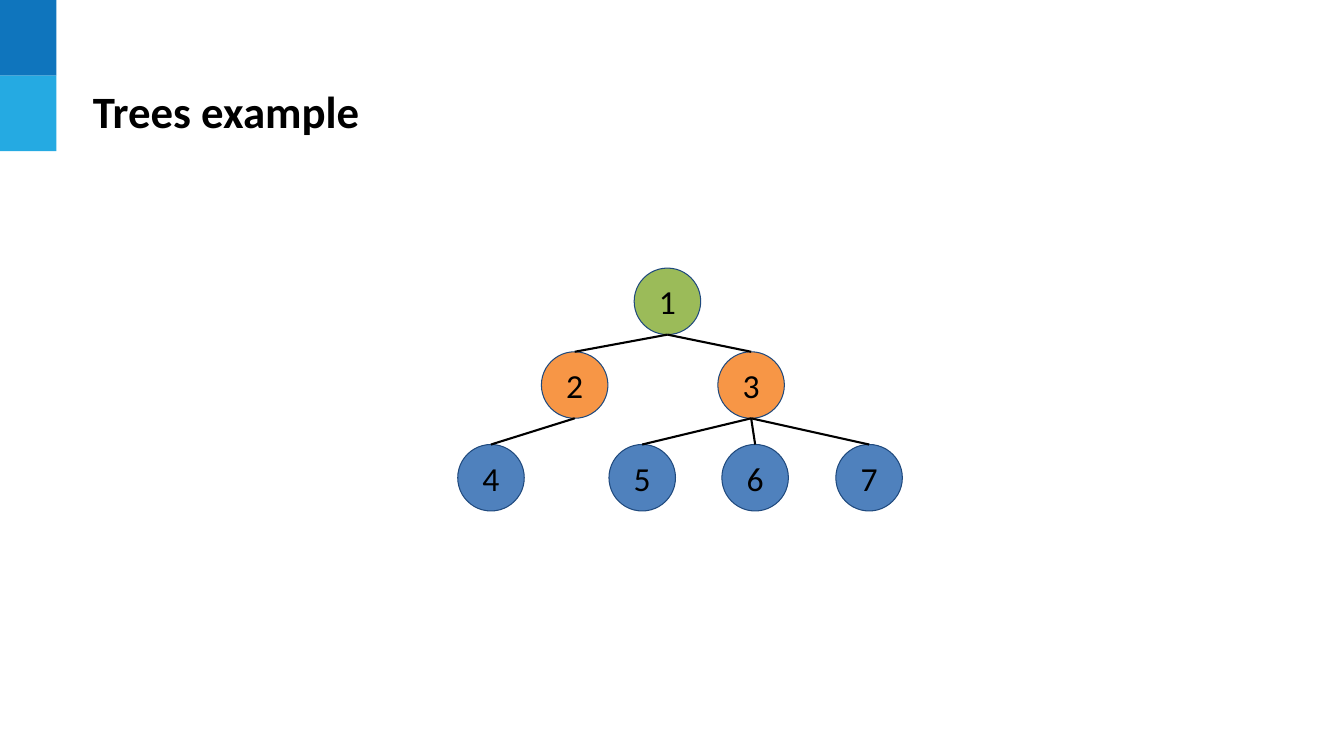
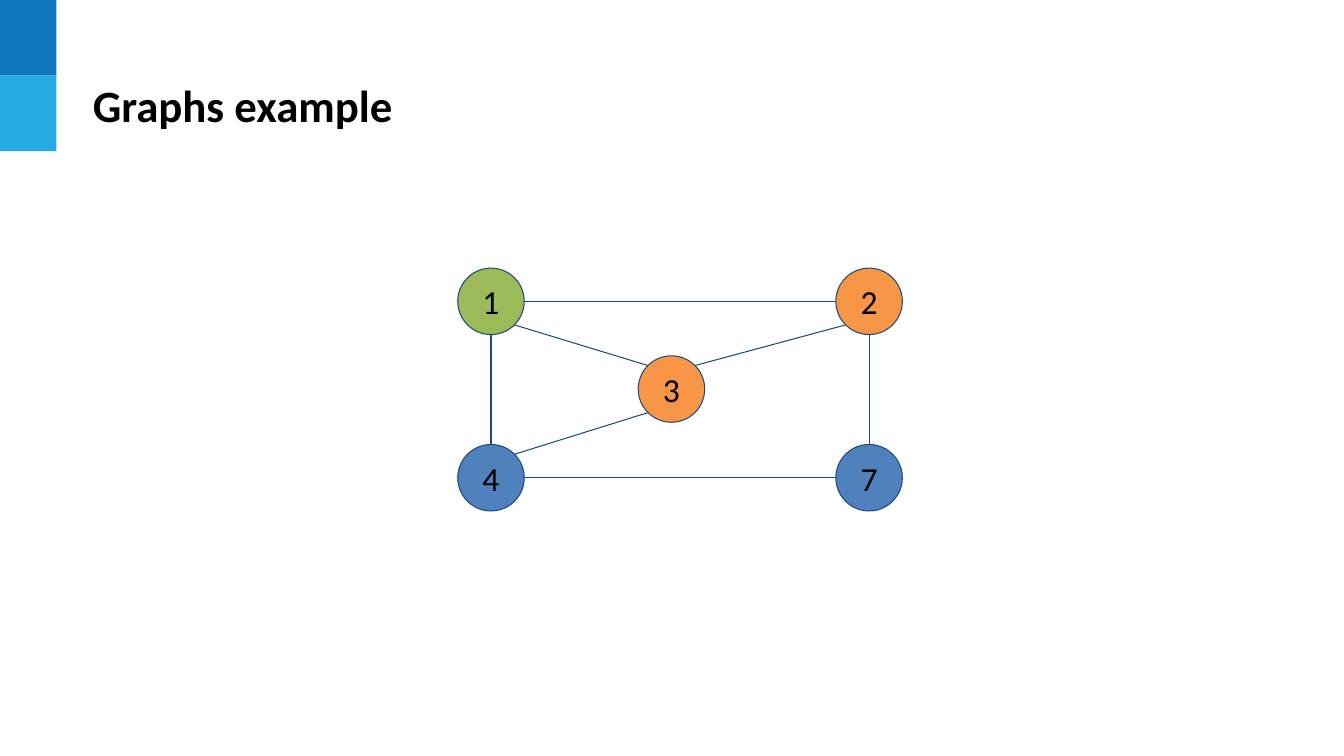
from dataclasses import dataclass
from math import cos, radians, sin

from lxml.etree import SubElement
from pptx import Presentation
from pptx.dml.color import RGBColor
from pptx.enum.shapes import MSO_CONNECTOR, MSO_SHAPE
from pptx.enum.text import MSO_ANCHOR, MSO_AUTO_SIZE, PP_ALIGN
from pptx.oxml.ns import qn
from pptx.util import Inches, Pt


@dataclass(frozen=True)
class Theme:
    font: str = "Calibri"
    title_size: int = 32
    node_size: int = 24
    text: str = "000000"
    outline: str = "1F497D"
    thin: float = 0.75
    thick: float = 1.5
    bands: tuple = ("0F75BD", "25AAE2")
    green: str = "9BBB59"
    orange: str = "F79646"
    blue: str = "4F81BD"


THEME = Theme()
DIAMETER = 0.66
BAND_WIDTH, BAND_HEIGHT = 0.56, 0.75

# Connection sites of an ellipse run counterclockwise from the top
TOP, TOP_LEFT, LEFT, BOTTOM_LEFT, BOTTOM, BOTTOM_RIGHT, RIGHT, TOP_RIGHT = range(8)

# Content: nodes are label: (centre x, centre y, fill);
# edges are (from, site, to, site)
SLIDES = [
    {
        "title": "Trees example",
        "title_top": 0.65,
        "line": (THEME.text, THEME.thick),
        "nodes": {
            "1": (6.62, 2.99, THEME.green),
            "2": (5.7, 3.82, THEME.orange),
            "3": (7.45, 3.82, THEME.orange),
            "4": (4.87, 4.74, THEME.blue),
            "5": (6.37, 4.74, THEME.blue),
            "6": (7.49, 4.74, THEME.blue),
            "7": (8.62, 4.74, THEME.blue),
        },
        "edges": [
            (parent, BOTTOM, child, TOP)
            for parent, children in (("1", "23"), ("2", "4"), ("3", "567"))
            for child in children
        ],
    },
    {
        "title": "Graphs example",
        "title_top": 0.59,
        "line": (THEME.outline, THEME.thin),
        "nodes": {
            "1": (4.87, 2.99, THEME.green),
            "2": (8.62, 2.99, THEME.orange),
            "3": (6.66, 3.86, THEME.orange),
            "4": (4.87, 4.74, THEME.blue),
            "7": (8.62, 4.74, THEME.blue),
        },
        "edges": [
            ("1", RIGHT, "2", LEFT),
            ("1", BOTTOM, "4", TOP),
            ("4", TOP_RIGHT, "3", BOTTOM_LEFT),
            ("7", TOP, "2", BOTTOM),
            ("4", RIGHT, "7", LEFT),
            ("3", TOP_RIGHT, "2", BOTTOM_LEFT),
            ("1", BOTTOM_RIGHT, "3", TOP_LEFT),
        ],
    },
]


def color(value):
    return RGBColor.from_string(value)


def style_text(paragraph, size, bold=False):
    paragraph.font.name = THEME.font
    paragraph.font.size = Pt(size)
    paragraph.font.bold = bold
    paragraph.font.color.rgb = color(THEME.text)


def add_filled_shape(slide, kind, left, top, width, height, fill):
    shape = slide.shapes.add_shape(
        kind, Inches(left), Inches(top), Inches(width), Inches(height))
    shape.shadow.inherit = False
    shape.fill.solid()
    shape.fill.fore_color.rgb = color(fill)
    return shape


def move_bands_to_layout(slide):
    """Draw the corner bands once and hand them to the shared layout."""
    layout_tree = slide.slide_layout.shapes.element
    for index, fill in enumerate(THEME.bands):
        band = add_filled_shape(slide, MSO_SHAPE.RECTANGLE, 0, index * BAND_HEIGHT,
                                BAND_WIDTH, BAND_HEIGHT, fill)
        band.line.fill.background()
        band.name = f"Band {index + 1}"
        band.element.xpath("./p:nvSpPr/p:cNvPr")[0].set("id", str(100 + index))
        layout_tree.insert(2 + index, band.element)


def set_title(slide, text, top):
    title = slide.shapes.title
    title.left, title.top = Inches(0.82), Inches(top)
    title.width, title.height = Inches(10.47), Inches(0.9)
    frame = title.text_frame
    frame.text = text
    frame.word_wrap = True
    frame.auto_size = MSO_AUTO_SIZE.NONE
    frame.vertical_anchor = MSO_ANCHOR.MIDDLE
    paragraph = frame.paragraphs[0]
    paragraph.alignment = PP_ALIGN.LEFT
    style_text(paragraph, THEME.title_size, bold=True)


def add_node(slide, label, x, y, fill):
    node = add_filled_shape(slide, MSO_SHAPE.OVAL, x - DIAMETER / 2, y - DIAMETER / 2,
                            DIAMETER, DIAMETER, fill)
    node.name = f"Node {label}"
    node.line.color.rgb = color(THEME.outline)
    node.line.width = Pt(THEME.thin)
    frame = node.text_frame
    frame.margin_left = frame.margin_right = Inches(0.1)
    frame.margin_top = frame.margin_bottom = Inches(0.1)
    frame.vertical_anchor = MSO_ANCHOR.MIDDLE
    frame.text = label
    paragraph = frame.paragraphs[0]
    paragraph.alignment = PP_ALIGN.CENTER
    style_text(paragraph, THEME.node_size)
    return node


def site_position(node, site):
    angle = radians(90 + 45 * site)
    return (round(node.left + node.width / 2 * (1 + cos(angle))),
            round(node.top + node.height / 2 * (1 - sin(angle))))


def add_edge(slide, start, start_site, end, end_site, line):
    edge = slide.shapes.add_connector(
        MSO_CONNECTOR.STRAIGHT,
        *site_position(start, start_site), *site_position(end, end_site))
    line_color, width = line
    edge.line.color.rgb = color(line_color)
    edge.line.width = Pt(width)
    SubElement(edge.element.spPr, qn("a:effectLst"))
    # begin_connect knows four sites only; an ellipse has eight
    joints = edge.element.xpath("./p:nvCxnSpPr/p:cNvCxnSpPr")[0]
    for tag, node, site in (("a:stCxn", start, start_site), ("a:endCxn", end, end_site)):
        SubElement(joints, qn(tag), id=str(node.shape_id), idx=str(site))


def main():
    presentation = Presentation()
    presentation.slide_width, presentation.slide_height = Inches(13.33), Inches(7.5)
    layout = presentation.slide_layouts.get_by_name("Title Only")
    for index, content in enumerate(SLIDES):
        slide = presentation.slides.add_slide(layout)
        if index == 0:
            move_bands_to_layout(slide)
        set_title(slide, content["title"], content["title_top"])
        nodes = {label: add_node(slide, label, *place)
                 for label, place in content["nodes"].items()}
        for start, start_site, end, end_site in content["edges"]:
            add_edge(slide, nodes[start], start_site, nodes[end], end_site, content["line"])
    presentation.save("out.pptx")


if __name__ == "__main__":
    main()
